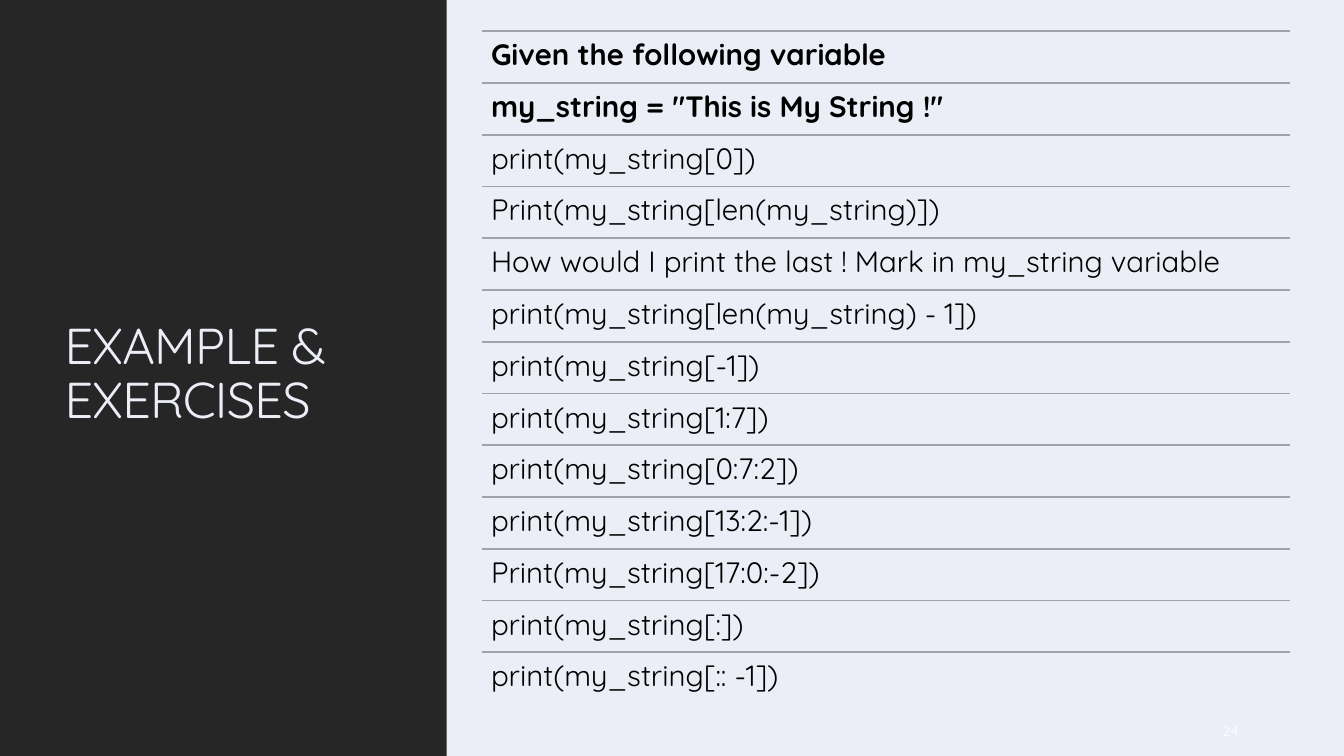
from pptx import Presentation
from pptx.dml.color import RGBColor
from pptx.enum.shapes import MSO_CONNECTOR, MSO_SHAPE
from pptx.enum.text import MSO_ANCHOR, MSO_AUTO_SIZE, PP_ALIGN
from pptx.oxml.ns import qn
from pptx.util import Inches, Pt
from lxml.etree import SubElement

PALE = RGBColor(0xEC, 0xEE, 0xF7)
CHARCOAL = RGBColor(0x26, 0x26, 0x26)
RULE_GREY = RGBColor(0xA1, 0xA2, 0xA9)
BLACK = RGBColor(0, 0, 0)
WHITE = RGBColor(0xFF, 0xFF, 0xFF)
FONT = "Quicksand"
ROW_HEIGHT = 0.5135
HEADING_ROWS = 2
EXERCISES = [
    "Given the following variable",
    'my_string = "This is My String !"',
    "print(my_string[0])",
    "Print(my_string[len(my_string)])",
    "How would I print the last ! Mark in my_string variable",
    "print(my_string[len(my_string) - 1])",
    "print(my_string[-1])",
    "print(my_string[1:7])",
    "print(my_string[0:7:2])",
    "print(my_string[13:2:-1])",
    "Print(my_string[17:0:-2])",
    "print(my_string[:])",
    "print(my_string[:: -1])",
]


def add_run(paragraph, text, size, color, bold=False):
    run = paragraph.add_run()
    run.text = text
    run.font.name = FONT
    run.font.size = Pt(size)
    run.font.bold = bold
    run.font.color.rgb = color
    return run


def add_title_panel(slide, left, top, width, height):
    panel = slide.shapes.add_shape(
        MSO_SHAPE.RECTANGLE, Inches(left), Inches(top), Inches(width), Inches(height))
    panel.shadow.inherit = False
    panel.fill.solid()
    panel.fill.fore_color.rgb = CHARCOAL
    panel.line.fill.background()

    title = slide.shapes.title
    panel._element.addnext(title._element)
    title.left, title.top = Inches(left + 0.54), Inches(top + 0.57)
    title.width, title.height = Inches(width - 1.06), Inches(height - 1.19)
    frame = title.text_frame
    frame.word_wrap = True
    frame.auto_size = MSO_AUTO_SIZE.NONE
    frame.vertical_anchor = MSO_ANCHOR.MIDDLE
    heading = frame.paragraphs[0]
    heading.alignment = PP_ALIGN.LEFT
    heading.line_spacing = 0.9
    run = add_run(heading, "EXAMPLE & EXERCISES", 36, PALE)
    run.font._element.set("spc", "-50")


def add_exercise_list(slide, left, top, width):
    rows = slide.shapes.add_group_shape().shapes
    for index, exercise in enumerate(EXERCISES):
        y = Inches(top + index * ROW_HEIGHT)
        rule = rows.add_connector(
            MSO_CONNECTOR.STRAIGHT, Inches(left), y, Inches(left + width), y)
        rule.line.color.rgb = RULE_GREY
        rule.line.width = Pt(1.25)
        SubElement(rule._element.spPr, qn("a:effectLst"))

        row = rows.add_textbox(Inches(left), y, Inches(width), Inches(ROW_HEIGHT))
        frame = row.text_frame
        frame.word_wrap = True
        frame.margin_left = frame.margin_right = Inches(0.09)
        frame.margin_top = frame.margin_bottom = Inches(0.09)
        line = frame.paragraphs[0]
        line.line_spacing = 0.9
        add_run(line, exercise, 21, BLACK, index < HEADING_ROWS)


def add_page_number(slide, left, top, width, height):
    number = slide.shapes.add_textbox(
        Inches(left), Inches(top), Inches(width), Inches(height))
    frame = number.text_frame
    frame.word_wrap = True
    frame.vertical_anchor = MSO_ANCHOR.MIDDLE
    paragraph = frame.paragraphs[0]
    paragraph.alignment = PP_ALIGN.RIGHT
    add_run(paragraph, "24", 10, WHITE)


def main():
    deck = Presentation()
    deck.slide_width, deck.slide_height = Inches(13.33), Inches(7.5)
    slide = deck.slides.add_slide(deck.slide_layouts.get_by_name("Title Only"))
    slide.background.fill.solid()
    slide.background.fill.fore_color.rgb = PALE
    add_title_panel(slide, 0, 0, 4.43, 7.5)
    add_exercise_list(slide, 4.78, 0.31, 8.01)
    add_page_number(slide, 11.58, 7.1, 0.8, 0.3)
    deck.save("out.pptx")


if __name__ == "__main__":
    main()
